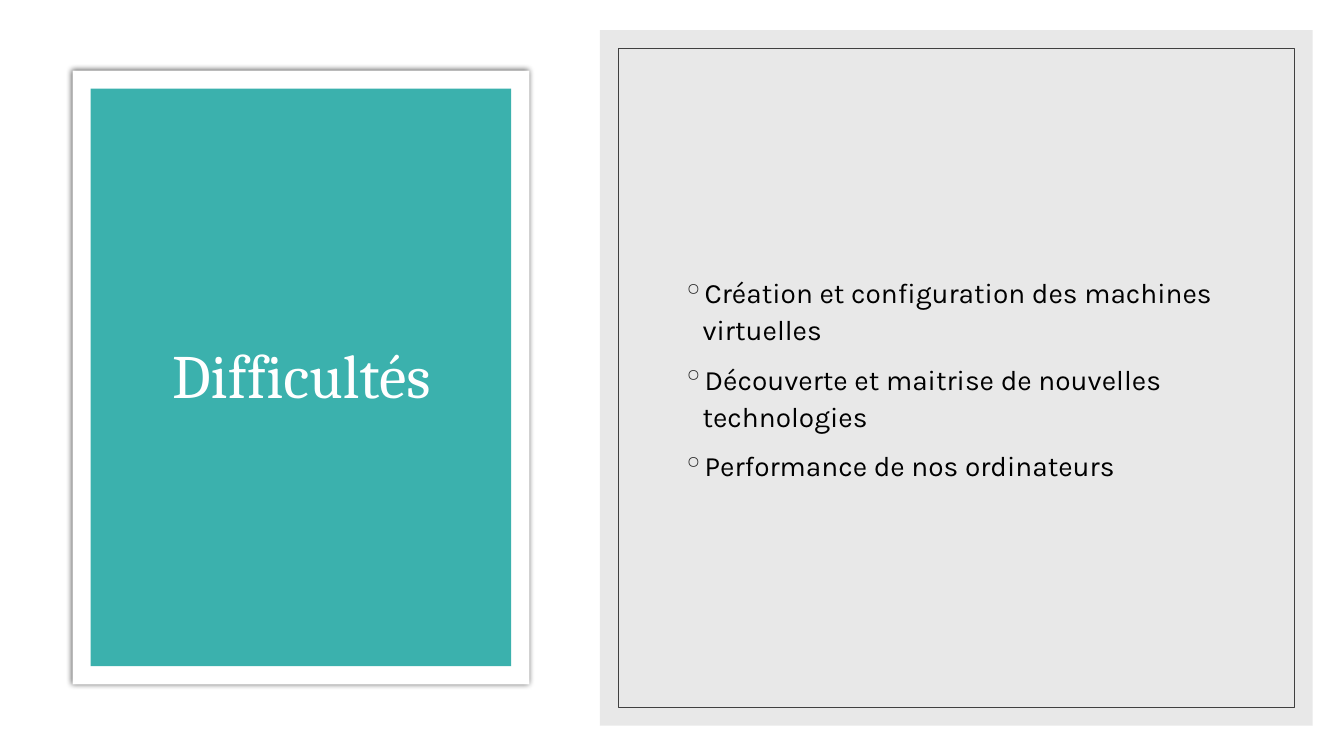
from lxml.etree import SubElement
from pptx import Presentation
from pptx.dml.color import RGBColor
from pptx.enum.shapes import MSO_SHAPE
from pptx.enum.text import MSO_ANCHOR, PP_ALIGN
from pptx.oxml.ns import qn
from pptx.util import Inches, Pt

TITLE = "Difficultés"
POINTS = [
    "Création et configuration des machines virtuelles",
    "Découverte et maitrise de nouvelles technologies",
    "Performance de nos ordinateurs",
]

WHITE = RGBColor(0xFF, 0xFF, 0xFF)
BLACK = RGBColor(0, 0, 0)
TEAL = RGBColor(0x3B, 0xB1, 0xAD)
GREY = RGBColor(0xD9, 0xD9, 0xD9)
DARK = RGBColor(0x40, 0x40, 0x40)

PAGE = (0, 0, 13.33, 7.5)
CARD = (0.72, 0.7, 4.53, 6.09)
PANEL = (5.95, 0.3, 7.07, 6.9)
HEAD = (1.08, 1.3, 3.82, 4.91)
BODY = (6.67, 1.02, 5.66, 5.45)
GAP = 0.18


def inset(box, gap):
    """Shrink a box by the same gap on all four sides."""
    x, y, w, h = box
    return x + gap, y + gap, w - 2 * gap, h - 2 * gap


def add_rect(slide, box, fill=None, line=None):
    rect = slide.shapes.add_shape(MSO_SHAPE.RECTANGLE, *map(Inches, box))
    rect.shadow.inherit = False
    if fill is None:
        rect.fill.background()
    else:
        rect.fill.solid()
        rect.fill.fore_color.rgb = fill
    if line is None:
        rect.line.fill.background()
    else:
        rect.line.color.rgb = line
        rect.line.width = Pt(0.5)
    return rect


def add_node(parent, tag, **attrs):
    return SubElement(parent, qn(tag), attrs)


def add_glow(rect):
    """Give a soft dark shadow that is centred on the shape."""
    effects = rect.element.spPr.find(qn("a:effectLst"))
    outer = add_node(effects, "a:outerShdw", blurRad=str(Pt(4)), dist="0",
                     dir="0", algn="ctr", rotWithShape="0")
    color = add_node(outer, "a:srgbClr", val="000000")
    add_node(color, "a:alpha", val="66000")


def add_frame(slide, box):
    frame = slide.shapes.add_textbox(*map(Inches, box)).text_frame
    frame.word_wrap = True
    frame.vertical_anchor = MSO_ANCHOR.MIDDLE
    return frame


def add_run(para, text, font, size, color):
    run = para.add_run()
    run.text = text
    run.font.name = font
    run.font.size = Pt(size)
    run.font.color.rgb = color


def add_bullet(para):
    props = para._p.get_or_add_pPr()
    props.set("marL", str(Inches(0.2)))
    props.set("indent", str(Inches(-0.2)))
    color = add_node(props, "a:buClr")
    add_node(color, "a:srgbClr", val="262626")
    add_node(props, "a:buChar", char="◦")


def main():
    deck = Presentation()
    deck.slide_width, deck.slide_height = map(Inches, PAGE[2:])
    slide = deck.slides.add_slide(deck.slide_layouts[6])

    add_rect(slide, PAGE, WHITE)
    add_glow(add_rect(slide, CARD, WHITE))
    add_rect(slide, inset(CARD, GAP), TEAL)
    para = add_frame(slide, HEAD).paragraphs[0]
    para.alignment = PP_ALIGN.CENTER
    para.line_spacing = 0.9
    add_run(para, TITLE, "Cambria", 44, WHITE)

    panel = add_rect(slide, PANEL, GREY)
    tint = panel.element.spPr.find(qn("a:solidFill"))[0]
    add_node(tint, "a:alpha", val="60000")
    add_rect(slide, inset(PANEL, GAP), line=DARK)

    frame = add_frame(slide, BODY)
    for i, point in enumerate(POINTS):
        para = frame.add_paragraph() if i else frame.paragraphs[0]
        para.line_spacing = 1.1
        para.space_before = Pt(9)
        add_bullet(para)
        add_run(para, point, "Karla", 20, BLACK)

    deck.save("out.pptx")


if __name__ == "__main__":
    main()
